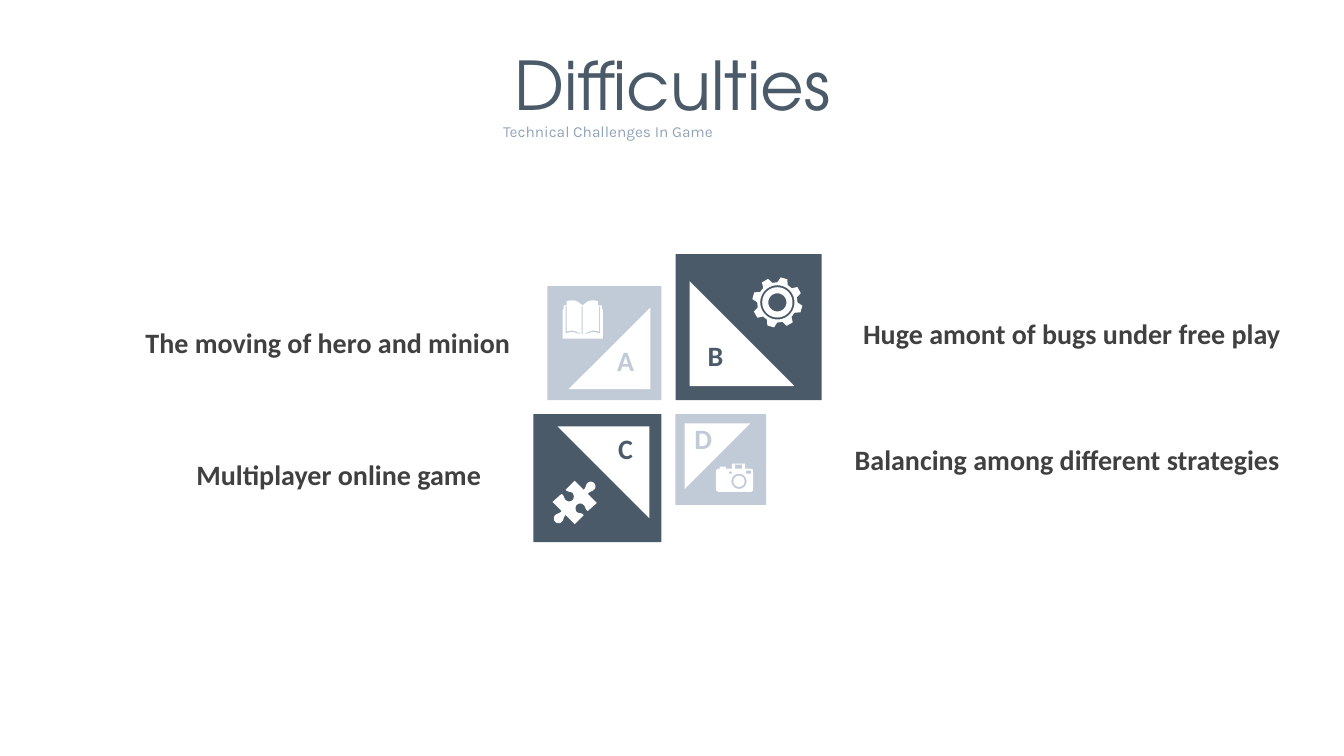
from math import cos, pi, sin, tau

from pptx import Presentation
from pptx.dml.color import RGBColor
from pptx.enum.shapes import MSO_SHAPE
from pptx.enum.text import MSO_ANCHOR, MSO_AUTO_SIZE, PP_ALIGN
from pptx.util import Pt

PX = 9144  # 100 px to the inch
SLATE = RGBColor(0x4A, 0x5A, 0x69)
MIST = RGBColor(0xC1, 0xCB, 0xD7)
STEEL = RGBColor(0x92, 0xA3, 0xB8)
CHARCOAL = RGBColor(0x40, 0x40, 0x40)
WHITE = RGBColor(0xFF, 0xFF, 0xFF)

TITLE = ("Difficulties", (495, 38, 344, 91))
SUBTITLE = ("Technical Challenges In Game", (489, 116, 355, 28))

# The four tiles meet around a cross-shaped gap
INNER_LEFT, INNER_RIGHT = 656, 670
INNER_TOP, INNER_BOTTOM = 397, 411
INSET_SHARE, TRIANGLE_SHARE = 0.097, 0.717

# letter, letter position, on the left, on top, size, triangle rotation, colour
TILES = [
    ("A", (595, 336), True, True, 113, 270, MIST),
    ("B", (684, 331), False, True, 145, 0, SLATE),
    ("C", (595, 423), True, False, 127, 180, SLATE),
    ("D", (672, 413), False, False, 90, 90, MIST),
]

# text, left, top, width
CHALLENGES = [
    ("The moving of hero and minion", 12, 318, 504),
    ("Huge amont of bugs under free play", 656, 309, 624),
    ("Multiplayer online game", -17, 449, 504),
    ("Balancing among different strategies", 735, 434, 544),
]
LINE_HEIGHT = 44

# Icon outlines: a pair is a corner, six numbers are a Bézier curve
BOOK_COVER = [
    (558, 307), (559, 307), (559, 303), (562, 303), (562, 299),
    (565, 298, 566, 298, 568, 298), (572, 298, 574, 300, 578, 303),
    (581, 300, 584, 298, 588, 298), (589, 298, 591, 298, 593, 299),
    (593, 303), (597, 303), (597, 307), (598, 307), (598, 336), (558, 336),
]
BOOK_PAGE_EDGE = [
    (562, 304), (561, 304), (561, 331), (567, 328, 571, 330, 577, 332),
    (572, 328, 567, 327, 562, 329),
]
BOOK_MIDDLE = 578

PUZZLE_HALF = [
    (589, 479), (591, 481, 591, 483, 590, 485), (588, 488, 585, 487, 583, 490),
    (592, 499), (583, 507), (580, 505, 581, 503, 579, 501),
    (577, 499, 574, 499, 572, 501), (571, 502, 570, 505, 572, 508),
    (575, 510, 576, 508, 579, 511), (570, 520), (561, 511),
    (558, 514, 560, 515, 557, 518), (555, 520, 552, 519, 551, 518),
]
PUZZLE_MIDDLE = (570, 498.5)

CAMERA_BODY = [
    (727, 460), (738, 460), (739, 460, 739, 460, 739, 461), (739, 465),
    (744, 465), (746, 465, 747, 466, 747, 468), (747, 485),
    (747, 487, 746, 488, 744, 488), (713, 488), (712, 488, 710, 487, 710, 485),
    (710, 468), (710, 466, 712, 465, 713, 465), (714, 465), (714, 463),
    (720, 463), (720, 465), (726, 465), (726, 461), (726, 460, 727, 460, 727, 460),
]
CAMERA_SLOTS = [(723, 468, 726, 470), (740, 467, 745, 470), (729, 461, 736, 465)]
CAMERA_LENS, CAMERA_RADII = (733, 477.5), (7.5, 5.5)

GEAR_MIDDLE, GEAR_RADII = (771, 300), (17, 15, 9)
GEAR_TEETH, GEAR_TURN = 8, 15.5
# angle from the middle of a tooth, radius
TOOTH = [(-15, 20), (-8, 25), (8, 25), (15, 20)]


def rectangle(left, top, right, bottom):
    return [(left, top), (right, top), (right, bottom), (left, bottom)]


def polar(middle, radius, angle):
    return middle[0] + radius * cos(angle), middle[1] + radius * sin(angle)


def circle(middle, radius, steps=48):
    return [polar(middle, radius, tau * i / steps) for i in range(steps)]


def mirrored(outline, x_middle, y_middle=None):
    """Reflect in a vertical axis or, with y_middle, through a point."""
    return [tuple(2 * x_middle - v if i % 2 == 0
                  else v if y_middle is None else 2 * y_middle - v
                  for i, v in enumerate(step)) for step in outline]


def flattened(outline, pieces=6):
    """Turn the curves of an outline into short straight pieces, in EMU."""
    points = []
    for step in outline:
        if len(step) == 2:
            points.append(step)
            continue
        nodes = [points[-1], step[:2], step[2:4], step[4:]]
        for i in range(1, pieces + 1):
            t = i / pieces
            weights = ((1 - t) ** 3, 3 * t * (1 - t) ** 2, 3 * t * t * (1 - t), t ** 3)
            points.append(tuple(sum(w * node[axis] for w, node in zip(weights, nodes))
                                for axis in (0, 1)))
    return [(round(x * PX), round(y * PX)) for x, y in points]


def paint(shape, colour):
    shape.shadow.inherit = False
    shape.fill.solid()
    shape.fill.fore_color.rgb = colour
    shape.line.fill.background()


def add_icon(slide, outlines):
    """Draw the outlines as one shape; inner ones become holes."""
    builder = None
    for outline in outlines:
        start, *rest = flattened(outline)
        if builder is None:
            builder = slide.shapes.build_freeform(*start, scale=1.0)
        else:
            builder.move_to(*start)
        builder.add_line_segments(rest, close=True)
    paint(builder.convert_to_shape(), WHITE)


def add_block(slide, preset, left, top, size, colour, rotation=0):
    block = slide.shapes.add_shape(preset, *(v * PX for v in (left, top, size, size)))
    block.rotation = rotation
    paint(block, colour)


def write(holder, text, size, font, colour, align, bold=False, wrap=True):
    frame = holder.text_frame
    frame.text = text
    frame.word_wrap = wrap
    frame.auto_size = MSO_AUTO_SIZE.NONE
    frame.vertical_anchor = MSO_ANCHOR.TOP
    paragraph = frame.paragraphs[0]
    paragraph.alignment = align
    paragraph.space_before = Pt(0)
    run_font = paragraph.runs[0].font
    run_font.size, run_font.name, run_font.bold = Pt(size), font, bold
    run_font.color.rgb = colour


def place(holder, box):
    holder.left, holder.top, holder.width, holder.height = (v * PX for v in box)


def add_label(slide, text, box, colour, align):
    label = slide.shapes.add_textbox(*(v * PX for v in box))
    write(label, text, 20, "Calibri", colour, align, bold=True)


def main():
    deck = Presentation()
    deck.slide_width, deck.slide_height = 1333 * PX, 750 * PX
    slide = deck.slides.add_slide(deck.slide_layouts[0])

    title, subtitle = slide.placeholders
    place(title, TITLE[1])
    write(title, TITLE[0], 48, "TeX Gyre Adventor", SLATE, PP_ALIGN.CENTER, wrap=False)
    place(subtitle, SUBTITLE[1])
    write(subtitle, SUBTITLE[0], 11, "Karla", STEEL, PP_ALIGN.JUSTIFY)

    for letter, spot, on_left, on_top, size, rotation, colour in TILES:
        inset, side = round(size * INSET_SHARE), round(size * TRIANGLE_SHARE)
        for preset, gap, length, fill, turn in (
            (MSO_SHAPE.RECTANGLE, 0, size, colour, 0),
            (MSO_SHAPE.RIGHT_TRIANGLE, inset, side, WHITE, rotation),
        ):
            left = INNER_LEFT - gap - length if on_left else INNER_RIGHT + gap
            top = INNER_TOP - gap - length if on_top else INNER_BOTTOM + gap
            add_block(slide, preset, left, top, length, fill, turn)
        add_label(slide, letter, (*spot, 51, LINE_HEIGHT), colour, PP_ALIGN.CENTER)

    gear_rim = [polar(GEAR_MIDDLE, radius, (GEAR_TURN + 360 / GEAR_TEETH * i + angle) * pi / 180)
                for i in range(GEAR_TEETH) for angle, radius in TOOTH]
    add_icon(slide, [BOOK_COVER, BOOK_PAGE_EDGE, mirrored(BOOK_PAGE_EDGE, BOOK_MIDDLE),
                     rectangle(577, 304, 578, 332)])
    add_icon(slide, [PUZZLE_HALF + mirrored(PUZZLE_HALF, *PUZZLE_MIDDLE)])
    add_icon(slide, [gear_rim] + [circle(GEAR_MIDDLE, r) for r in GEAR_RADII])
    add_icon(slide, [CAMERA_BODY] + [rectangle(*slot) for slot in CAMERA_SLOTS]
             + [circle(CAMERA_LENS, r) for r in CAMERA_RADII])

    for text, left, top, width in CHALLENGES:
        add_label(slide, text, (left, top, width, LINE_HEIGHT), CHARCOAL, PP_ALIGN.RIGHT)

    deck.save("out.pptx")


if __name__ == "__main__":
    main()
